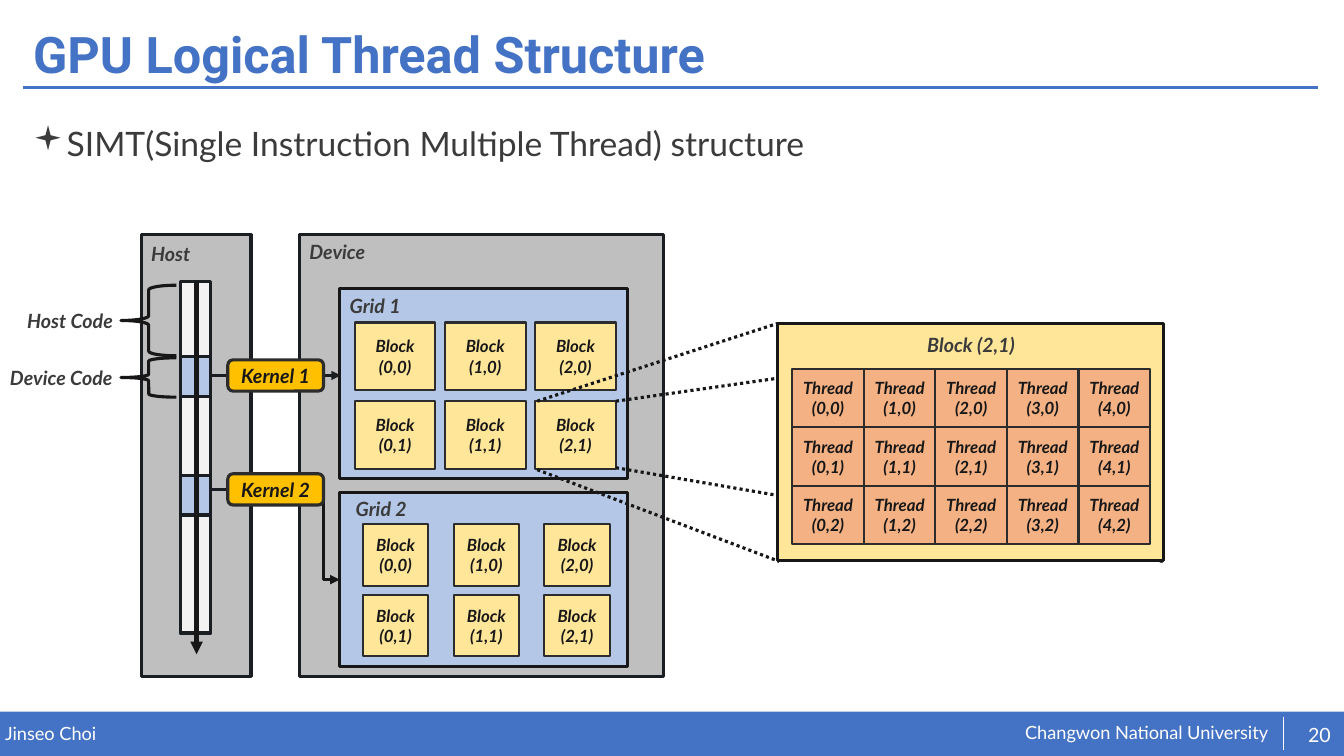
from itertools import product

from lxml.etree import SubElement
from pptx import Presentation
from pptx.dml.color import RGBColor
from pptx.enum.dml import MSO_LINE
from pptx.enum.shapes import MSO_CONNECTOR as Link, MSO_SHAPE as Shape
from pptx.enum.text import MSO_ANCHOR as Anchor, PP_ALIGN as Align
from pptx.oxml.ns import qn
from pptx.util import Inches, Pt

# The slide is a grid of 0.1 inch cells; every length counts columns or rows
CELL = Inches(0.1)
COLS, ROWS = 133.33, 75
BLUE, WHITE, TEXT = "4472C4", "FFFFFF", "3B3B3B"
EDGE, INK, RIM = "1A1D21", "181717", "2C2C2C"
GRAY, CODE, PALE = "BFBFBF", "F2F2F2", "B4C7E7"
YELLOW, ORANGE, GOLD = "FFE699", "F4B183", "FFC000"
rgb = RGBColor.from_string

deck = Presentation()
deck.slide_width, deck.slide_height = int(COLS * CELL), int(ROWS * CELL)
slide = deck.slides.add_slide(deck.slide_layouts[6])


def box(at, text="", kind=None, fill=None, edge=None, weight=2.25, size=14,
        color=TEXT, font="Lato", bold=True, italic=True, inset=(1, 0.5),
        align=Align.LEFT, anchor=Anchor.TOP):
    """Place a shape, or a bare text box when no kind is given."""
    place = [int(n * CELL) for n in at]
    if kind is None:
        item = slide.shapes.add_textbox(*place)
    else:
        item = slide.shapes.add_shape(kind, *place)
        item.shadow.inherit = False
        if fill:
            item.fill.solid()
            item.fill.fore_color.rgb = rgb(fill)
        else:
            item.fill.background()
        if edge:
            item.line.color.rgb = rgb(edge)
            item.line.width = Pt(weight)
        else:
            item.line.fill.background()
    if text:
        frame = item.text_frame
        frame.word_wrap = True
        frame.vertical_anchor = anchor
        frame.margin_left = frame.margin_right = int(inset[0] * CELL)
        frame.margin_top = frame.margin_bottom = int(inset[1] * CELL)
        frame.text = text
        for paragraph in frame.paragraphs:
            paragraph.alignment = align
            for run in paragraph.runs:
                run.font.name, run.font.size = font, Pt(size)
                run.font.bold, run.font.italic = bold, italic
                run.font.color.rgb = rgb(color)
    return item


def link(x1, y1, x2, y2, color=INK, weight=2.25, arrow=False, dash=None,
         kind=Link.STRAIGHT):
    """Draw a line, with an arrowhead at its end if asked."""
    item = slide.shapes.add_connector(kind, *[int(n * CELL) for n in (x1, y1, x2, y2)])
    item.line.color.rgb = rgb(color)
    item.line.width = Pt(weight)
    if dash:
        item.line.dash_style = dash
    if arrow:
        SubElement(item.line._get_or_add_ln(), qn("a:tailEnd"), type="triangle")
    SubElement(item._element.spPr, qn("a:effectLst"))
    return item


centred = dict(align=Align.CENTER, anchor=Anchor.MIDDLE, inset=(0, 0), color=INK)
plain = dict(bold=False, italic=False)
footer = dict(plain, color=WHITE, inset=(0, 0))

# Footer band
box((0, 70.6, COLS, 4.4), kind=Shape.RECTANGLE, fill=BLUE)
box((101.7, 71.6, 25.3, 2.3), "Changwon National University", size=13, **footer)
box((0.5, 71.7, 65.5, 2.2), "Jinseo Choi", size=13, **footer)
box((128.5, 70.9, 4.8, 4), "20", align=Align.CENTER, anchor=Anchor.MIDDLE, **footer)
link(127.3, 71.1, 127.3, 74.4, WHITE, 0.5)

# Title and bullet
link(2.3, 8.7, 130.8, 8.7, BLUE, 2)
title = box((2.3, 1.8, 128.6, 7.7), "GPU Logical Thread Structure", size=36,
            color=BLUE, font="Roboto", italic=False, anchor=Anchor.MIDDLE)
title.text_frame.paragraphs[0].line_spacing = 0.9
body = box((2.3, 10.1, 128.6, 10), "SIMT(Single Instruction Multiple Thread) structure",
           size=24, **plain)
bullet = body.text_frame.paragraphs[0]
bullet.line_spacing = 1.4
indent = bullet._p.get_or_add_pPr()
indent.set("marL", str(Inches(0.25)))
indent.set("indent", str(-Inches(0.25)))
SubElement(indent, qn("a:buFont"), typeface="Wingdings")
SubElement(indent, qn("a:buChar"), char="▪")

# Host and device panels
for left, width in ((29.7, 36.1), (14, 10.9)):
    box((left, 23.3, width, 43.8), kind=Shape.RECTANGLE, fill=GRAY, edge=EDGE)

# Host timeline: host code and device code take turns
top = 27.9
for height, fill in ((7.5, CODE), (3.9, PALE), (7.9, CODE), (3.9, PALE), (11.7, CODE)):
    box((17.9, top, 3, height), kind=Shape.RECTANGLE, fill=fill, edge=EDGE)
    top += height
for brace_top, height in ((28.3, 7), (35.5, 3.9)):
    box((12, brace_top, 5.5, height), kind=Shape.LEFT_BRACE, edge=INK)
link(19.5, 27.9, 19.5, 64.9, weight=3, arrow=True)

# Grids on the device
for grid_top, height in ((28.6, 18.9), (48.9, 17.2)):
    box((33.7, grid_top, 28.6, height), kind=Shape.RECTANGLE, fill=PALE, edge=INK)

# Kernel launches
link(20.9, 37.25, 33.8, 37.25, EDGE, arrow=True)
link(20.9, 48.6, 32.1, 48.6, EDGE)
launch = link(32.1, 48.6, 33.7, 57.5, arrow=True, kind=Link.ELBOW)
bend = launch._element.spPr.find(qn("a:prstGeom")).get_or_add_avLst()
SubElement(bend, qn("a:gd"), name="adj1", fmla="val -900")
for number, kernel_top in enumerate((35.7, 47), 1):
    box((22.6, kernel_top, 9.5, 3.1), f"Kernel {number}", Shape.ROUNDED_RECTANGLE,
        GOLD, RIM, **centred)

# Blocks of both grids: left, top, pitch across and down, width, height
for left, top, across, down, width, height in (
        (35.2, 32, 8.95, 7.8, 8, 6.7), (36, 52, 9, 7, 6.5, 6.1)):
    for row, col in product(range(2), range(3)):
        box((left + col * across, top + row * down, width, height),
            f"Block\n({col},{row})", Shape.RECTANGLE, YELLOW, RIM, 1.5, 12, **centred)

# Zoom from one block to its threads
for ends in ((61.1, 46.4, 115.4, 55.7), (61.1, 39.8, 115.4, 32.1),
             (53.3, 39.8, 77.1, 32.1), (53.3, 46.6, 77.3, 55.7)):
    link(*ends, dash=MSO_LINE.ROUND_DOT)
box((77.1, 32.1, 38.3, 23.5), kind=Shape.RECTANGLE, fill=YELLOW, edge=INK)
for row, col in product(range(3), range(5)):
    box((78.6 + col * 7.1, 36.6 + row * 5.8, 7.1, 5.8), f"Thread\n({col},{row})",
        Shape.RECTANGLE, ORANGE, RIM, 1.5, 12, **centred)

# Labels
for label, left, top in (
        ("Host", 14, 23.5), ("Host Code", 1.7, 30.2), ("Device Code", 0, 35.8),
        ("Device", 29.7, 23.3), ("Grid 1", 33.7, 28.7), ("Grid 2", 34.3, 48.8),
        ("Block (2,1)", 91, 32.5)):
    box((left, top, 12.8, 3.4), label)

deck.save("out.pptx")
